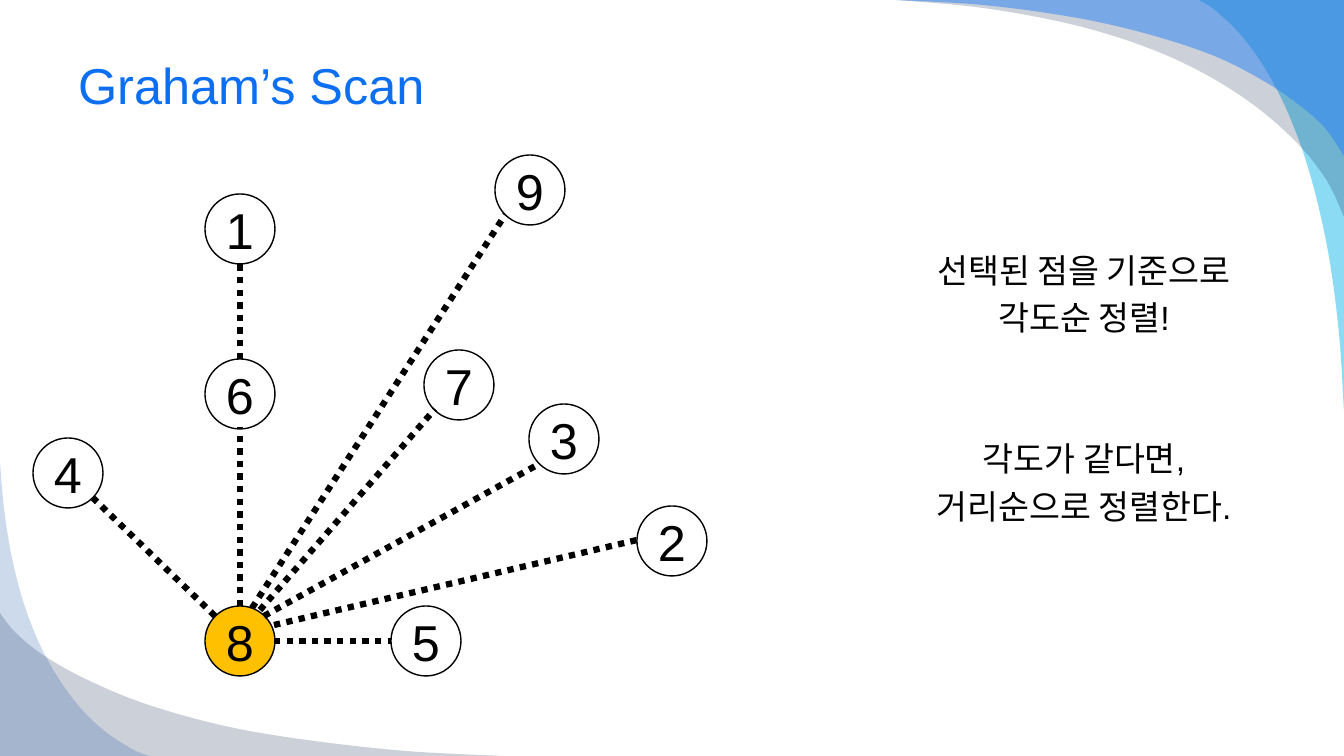
from pptx import Presentation
from pptx.dml.color import RGBColor
from pptx.enum.dml import MSO_LINE
from pptx.enum.shapes import MSO_CONNECTOR, MSO_SHAPE
from pptx.enum.text import MSO_ANCHOR, PP_ALIGN
from pptx.oxml.ns import qn
from pptx.util import Pt
from lxml.etree import SubElement

WIDTH, HEIGHT = 1344, 756
EMU_PER_PX = 12192000 / WIDTH
FONT = "Arial"
NODE_SIZE = 70
CURVE_STEPS = 6

BLACK = RGBColor(0x00, 0x00, 0x00)
WHITE = RGBColor(0xFF, 0xFF, 0xFF)
AMBER = RGBColor(0xFF, 0xC0, 0x00)
TITLE_BLUE = RGBColor(0x0C, 0x6F, 0xF2)
CYAN = RGBColor(0x00, 0xB1, 0xE9)
NAVY = RGBColor(0x02, 0x17, 0x41)
SKY_BLUE = RGBColor(0x24, 0x7F, 0xF4)
DEEP_BLUE = RGBColor(0x08, 0x4A, 0xA1)

TOP_RIGHT = (WIDTH, 0)
BOTTOM_LEFT = (0, HEIGHT)
SWOOSHES = [
    (CYAN, 45, TOP_RIGHT,
     [(1199, 0), (1215, 10), (1241, 35), (1266, 70), (1289, 115),
      (1310, 174), (1328, 251), (1339, 333), (1344, 411)]),
    (NAVY, 20, TOP_RIGHT,
     [(896, 0), (983, 8), (1070, 24), (1143, 46), (1203, 73),
      (1255, 106), (1298, 144), (1327, 181), (1344, 217)]),
    (SKY_BLUE, 49, TOP_RIGHT,
     [(896, 0), (983, 5), (1072, 17), (1144, 33), (1212, 55),
      (1262, 80), (1298, 104), (1325, 128), (1344, 156)]),
    (NAVY, 20, BOTTOM_LEFT,
     [(0, 613), (16, 633), (46, 657), (92, 682), (149, 705),
      (225, 726), (307, 740), (406, 751), (504, 756)]),
    (DEEP_BLUE, 20, BOTTOM_LEFT,
     [(0, 462), (4, 508), (12, 558), (26, 610), (46, 657),
      (73, 699), (102, 729), (132, 749), (149, 756)]),
]

PIVOT = 8
NODES = {
    1: (205, 194), 2: (637, 506), 4: (33, 438),
    3: (529, 404), 5: (391, 606), 6: (205, 359),
    7: (424, 350), 8: (205, 606), 9: (495, 155),
}
EDGES = [
    (274, 641, 391, 641), (274, 625, 637, 540), (264, 616, 539, 464),
    (260, 610, 435, 409), (252, 608, 505, 215), (240, 606, 240, 427),
    (240, 359, 240, 263), (215, 616, 93, 498),
]
NOTES = [
    ("선택된 점을 기준으로", 0), ("각도순 정렬!", 5),
    ("각도가 같다면,", 72), ("거리순으로 정렬한다.", 5),
]


def px(*lengths):
    return [round(length * EMU_PER_PX) for length in lengths]


def set_font(p, size, color):
    p.font.name = FONT
    p.font.size = Pt(size)
    p.font.color.rgb = color


def smooth_curve(points):
    padded = [points[0], *points, points[-1]]
    curve = [points[0]]
    for a, b, c, d in zip(padded, padded[1:], padded[2:], padded[3:]):
        for step in range(1, CURVE_STEPS + 1):
            t = step / CURVE_STEPS
            curve.append(tuple(
                (2 * q + (r - p) * t + (2 * p - 5 * q + 4 * r - s) * t ** 2
                 + (3 * q - p - 3 * r + s) * t ** 3) / 2
                for p, q, r, s in zip(a, b, c, d)))
    return curve


def add_swoosh(s, color, opacity, corner, points):
    outline = [px(*point) for point in smooth_curve(points)]
    builder = s.shapes.build_freeform(*px(*corner))
    builder.add_line_segments(outline, close=True)
    sp = builder.convert_to_shape()
    sp.shadow.inherit = False
    sp.line.fill.background()
    sp.fill.solid()
    sp.fill.fore_color.rgb = color
    srgb = sp.fill._xPr.find(qn("a:solidFill"))[0]
    SubElement(srgb, qn("a:alpha"), val=str(opacity * 1000))


def format_title(s, text):
    sp = s.shapes.title
    sp.left, sp.top, sp.width, sp.height = px(68, 33, 1210, 102)
    tf = sp.text_frame
    tf.text = text
    tf.vertical_anchor = MSO_ANCHOR.MIDDLE
    p = tf.paragraphs[0]
    p.alignment = PP_ALIGN.LEFT
    set_font(p, 36, TITLE_BLUE)


def add_notes(s, lines):
    tf = s.shapes.add_textbox(*px(855, 245, 458, 290)).text_frame
    tf.word_wrap = True
    for i, (text, space_before) in enumerate(lines):
        p = tf.add_paragraph() if i else tf.paragraphs[0]
        p.text = text
        p.alignment = PP_ALIGN.CENTER
        p.space_before = Pt(space_before)
        set_font(p, 24, BLACK)


def add_node(s, number, left, top):
    sp = s.shapes.add_shape(MSO_SHAPE.OVAL, *px(left, top, NODE_SIZE, NODE_SIZE))
    sp.shadow.inherit = False
    sp.fill.solid()
    sp.fill.fore_color.rgb = AMBER if number == PIVOT else WHITE
    sp.line.color.rgb = BLACK
    sp.line.width = Pt(1)
    tf = sp.text_frame
    tf.text = str(number)
    tf.word_wrap = False
    tf.vertical_anchor = MSO_ANCHOR.MIDDLE
    p = tf.paragraphs[0]
    p.alignment = PP_ALIGN.CENTER
    set_font(p, 36, BLACK)


def add_edge(s, x1, y1, x2, y2):
    line = s.shapes.add_connector(MSO_CONNECTOR.STRAIGHT, *px(x1, y1, x2, y2))
    line.line.color.rgb = BLACK
    line.line.width = Pt(4.5)
    line.line.dash_style = MSO_LINE.ROUND_DOT
    SubElement(line._element.spPr, qn("a:effectLst"))


def main():
    prs = Presentation()
    prs.slide_width, prs.slide_height = px(WIDTH, HEIGHT)
    s = prs.slides.add_slide(prs.slide_layouts[5])
    for swoosh in SWOOSHES:
        add_swoosh(s, *swoosh)
    format_title(s, "Graham’s Scan")
    add_notes(s, NOTES)
    for number, position in NODES.items():
        add_node(s, number, *position)
    for edge in EDGES:
        add_edge(s, *edge)
    prs.save("out.pptx")


if __name__ == "__main__":
    main()
